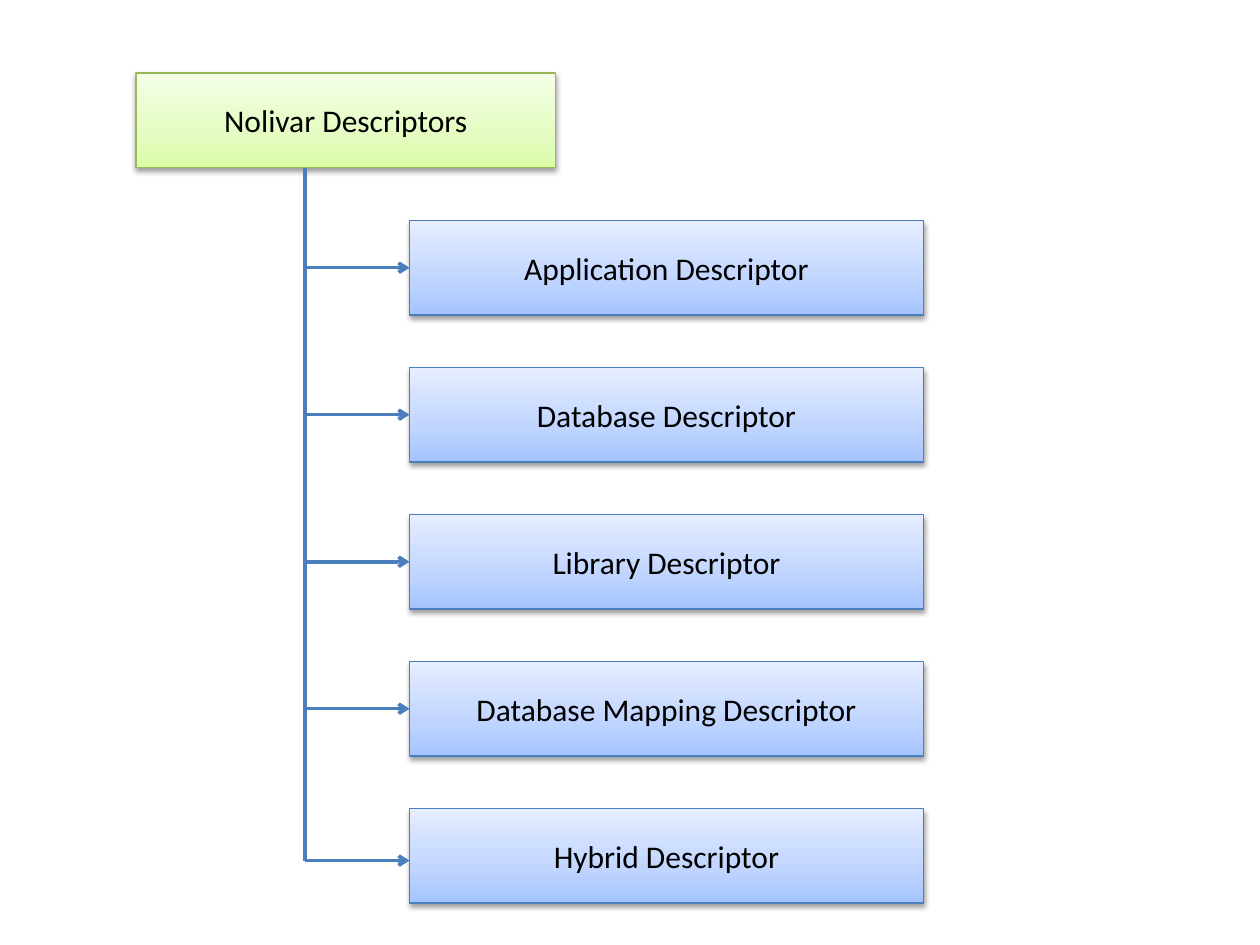
from lxml.etree import SubElement
from pptx import Presentation
from pptx.dml.color import RGBColor
from pptx.enum.shapes import MSO_CONNECTOR, MSO_SHAPE
from pptx.enum.text import MSO_ANCHOR, PP_ALIGN
from pptx.oxml.ns import qn
from pptx.util import Inches, Pt

BLACK = RGBColor(0x00, 0x00, 0x00)
BLUE = RGBColor(0x4B, 0x7E, 0xBC)
GREEN = RGBColor(0x98, 0xB9, 0x55)
# Gradient colours at 0, 35 and 100 percent, from the bottom up
SKY = [RGBColor(0xA4, 0xC4, 0xFF), RGBColor(0xBF, 0xD4, 0xFF), RGBColor(0xE6, 0xEE, 0xFF)]
LIME = [RGBColor(0xDA, 0xFD, 0xA7), RGBColor(0xE4, 0xFC, 0xC2), RGBColor(0xF5, 0xFF, 0xE7)]
FONT = {"name": "Calibri", "size": Pt(18), "bold": False}
SHADOW = {"blurRad": "40000", "dist": "20000", "dir": "5400000", "rotWithShape": "0"}

deck = Presentation()
deck.slide_width, deck.slide_height = Inches(10), Inches(7.5)
slide = deck.slides.add_slide(deck.slide_layouts[6])

# Layout in inches
HIGH = 0.75
LEFT, TOP, STEP = 3.25, 1.75, 3.5 / 3
TRUNK, END = 2.42, 6.83


def add_box(label, left, top, width, tints, edge):
    box = slide.shapes.add_shape(
        MSO_SHAPE.RECTANGLE, Inches(left), Inches(top), Inches(width), Inches(HIGH))
    box.fill.gradient()
    box.fill.gradient_angle = 90
    box.line.color.rgb = edge
    box.line.width = Pt(0.75)
    box.shadow.inherit = False
    props = box.element.spPr

    # Three gradient stops
    stops = props.find(".//" + qn("a:gsLst"))
    for stop in list(stops):
        stops.remove(stop)
    for place, tint in zip((0, 35000, 100000), tints):
        stop = SubElement(stops, qn("a:gs"), pos=str(place))
        SubElement(stop, qn("a:srgbClr"), val=str(tint))

    # Soft shadow below
    shade = SubElement(props.find(qn("a:effectLst")), qn("a:outerShdw"), SHADOW)
    tone = SubElement(shade, qn("a:srgbClr"), val="000000")
    SubElement(tone, qn("a:alpha"), val="38000")

    # Label
    frame = box.text_frame
    frame.word_wrap = True
    frame.vertical_anchor = MSO_ANCHOR.MIDDLE
    para = frame.paragraphs[0]
    para.alignment = PP_ALIGN.CENTER
    run = para.add_run()
    run.text = label
    for key, value in FONT.items():
        setattr(run.font, key, value)
    run.font.color.rgb = BLACK


def add_line(start, end, arrow=False):
    line = slide.shapes.add_connector(
        MSO_CONNECTOR.STRAIGHT, *[Inches(n) for n in (*start, *end)])
    line.line.color.rgb = BLUE
    line.line.width = Pt(2)
    props = line.element.spPr
    if arrow:
        SubElement(props.find(qn("a:ln")), qn("a:tailEnd"), type="arrow")
    SubElement(props, qn("a:effectLst"))


# Root box and trunk
add_box("Nolivar Descriptors", 1.08, 0.58, 3.33, LIME, GREEN)
add_line((TRUNK, 1.33), (TRUNK, END))

# Branches: the last arrow leaves from the end of the trunk
kinds = ["Application", "Database", "Library", "Database Mapping", "Hybrid"]
for row, kind in enumerate(kinds):
    top = TOP + row * STEP
    mid = END if kind == kinds[-1] else top + HIGH / 2
    add_box(f"{kind} Descriptor", LEFT, top, 4.08, SKY, BLUE)
    add_line((TRUNK, mid), (LEFT, mid), arrow=True)

deck.save("out.pptx")
